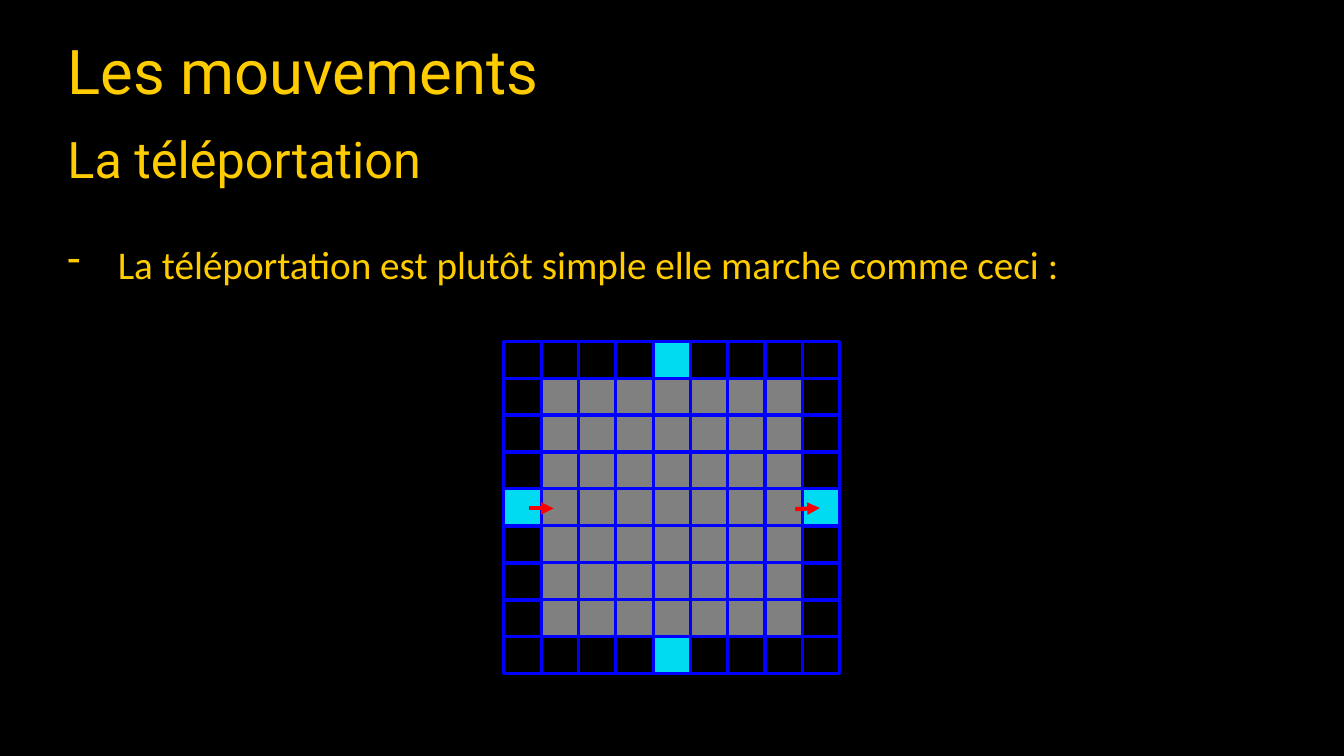
from dataclasses import dataclass

from lxml.etree import SubElement
from pptx import Presentation
from pptx.dml.color import RGBColor as Color
from pptx.enum.shapes import MSO_CONNECTOR as Connector, MSO_SHAPE as Shape
from pptx.enum.text import MSO_ANCHOR as Anchor, MSO_AUTO_SIZE as AutoSize, PP_ALIGN as Align
from pptx.oxml.ns import qn
from pptx.util import Cm, Pt


@dataclass(frozen=True)
class Theme:
    background: Color = Color(0x00, 0x00, 0x00)
    text: Color = Color(0xFF, 0xCC, 0x00)
    wall: Color = Color(0x00, 0x00, 0xFF)
    floor: Color = Color(0x80, 0x80, 0x80)
    portal: Color = Color(0x00, 0xDB, 0xF2)
    arrow: Color = Color(0xFF, 0x00, 0x00)
    heading_font: str = "Roboto"
    body_font: str = "Calibri"
    title_size: Pt = Pt(44)
    subtitle_size: Pt = Pt(36)
    body_size: Pt = Pt(28)
    wall_width: Pt = Pt(2.25)
    arrow_width: Pt = Pt(3)


THEME = Theme()

# Board geometry in centimetres
BOARD_LEFT, BOARD_TOP = 12.7, 8.6
COLUMN_STEP, ROW_STEP, CELL_SIDE = 0.94, 0.93, 0.94
BOARD_CELLS = 9
LAST, MIDDLE = BOARD_CELLS - 1, BOARD_CELLS // 2


def apply_format(target, values):
    for name, value in values.items():
        setattr(target, name, value)


def write_text(box, place, text, font, size, anchor, spacing):
    """Place a text shape and fill it with one formatted paragraph."""
    left, top, width, height = (Cm(length) for length in place)
    apply_format(box, {"left": left, "top": top, "width": width, "height": height})
    frame = box.text_frame
    apply_format(frame, {"word_wrap": True, "auto_size": AutoSize.NONE, "vertical_anchor": anchor})
    para = frame.paragraphs[0]
    apply_format(para, {"alignment": Align.LEFT, "line_spacing": spacing})
    span = para.add_run()
    span.text = text
    apply_format(span.font, {"name": font, "size": size})
    span.font.color.rgb = THEME.text
    return para


def add_box(page):
    return page.shapes.add_textbox(0, 0, 0, 0)


def add_heading(box, top, text, size):
    write_text(box, (1.45, top, 26.37, 2.18), text, THEME.heading_font, size, Anchor.MIDDLE, 0.9)


def add_bullet(page, text):
    box = add_box(page)
    para = write_text(box, (1.45, 5.92, 30.33, 1.45), text,
                      THEME.body_font, THEME.body_size, Anchor.TOP, 1.0)
    box.text_frame.auto_size = AutoSize.SHAPE_TO_FIT_TEXT
    properties = para._p.get_or_add_pPr()
    properties.set("marL", str(Cm(1.27)))
    properties.set("indent", str(Cm(-1.27)))
    SubElement(properties, qn("a:buChar")).set("char", "-")


def cell_color(row, column):
    """Portals sit mid-edge, floor fills the inside, other border cells stay empty."""
    on_edge = row in (0, LAST) or column in (0, LAST)
    if not on_edge:
        return THEME.floor
    return THEME.portal if MIDDLE in (row, column) else None


def add_cell(page, row, column):
    cell = page.shapes.add_shape(
        Shape.RECTANGLE,
        Cm(BOARD_LEFT + column * COLUMN_STEP), Cm(BOARD_TOP + row * ROW_STEP),
        Cm(CELL_SIDE), Cm(CELL_SIDE))
    cell.shadow.inherit = False
    color = cell_color(row, column)
    if color is None:
        cell.fill.background()
    else:
        cell.fill.solid()
        cell.fill.fore_color.rgb = color
    cell.line.color.rgb = THEME.wall
    cell.line.width = THEME.wall_width


def add_arrow(page, *ends):
    arrow = page.shapes.add_connector(Connector.STRAIGHT, *(Cm(length) for length in ends))
    arrow.line.color.rgb = THEME.arrow
    arrow.line.width = THEME.arrow_width
    properties = arrow._element.spPr
    SubElement(properties.find(qn("a:ln")), qn("a:tailEnd")).set("type", "triangle")
    SubElement(properties, qn("a:effectLst"))


def main():
    deck = Presentation()
    apply_format(deck, {"slide_width": Cm(33.87), "slide_height": Cm(19.05)})
    page = deck.slides.add_slide(deck.slide_layouts.get_by_name("Title Only"))
    page.background.fill.solid()
    page.background.fill.fore_color.rgb = THEME.background

    # Headings and explanation
    add_heading(page.shapes.title, 0.79, "Les mouvements", THEME.title_size)
    add_heading(add_box(page), 3, "La téléportation", THEME.subtitle_size)
    add_bullet(page, "La téléportation est plutôt simple elle marche comme ceci :")

    # Board
    for row in range(BOARD_CELLS):
        for column in range(BOARD_CELLS):
            add_cell(page, row, column)

    # Moves through the left and right portals
    add_arrow(page, 13.33, 12.81, 13.95, 12.81)
    add_arrow(page, 20.04, 12.83, 20.66, 12.8)

    deck.save("out.pptx")


if __name__ == "__main__":
    main()
